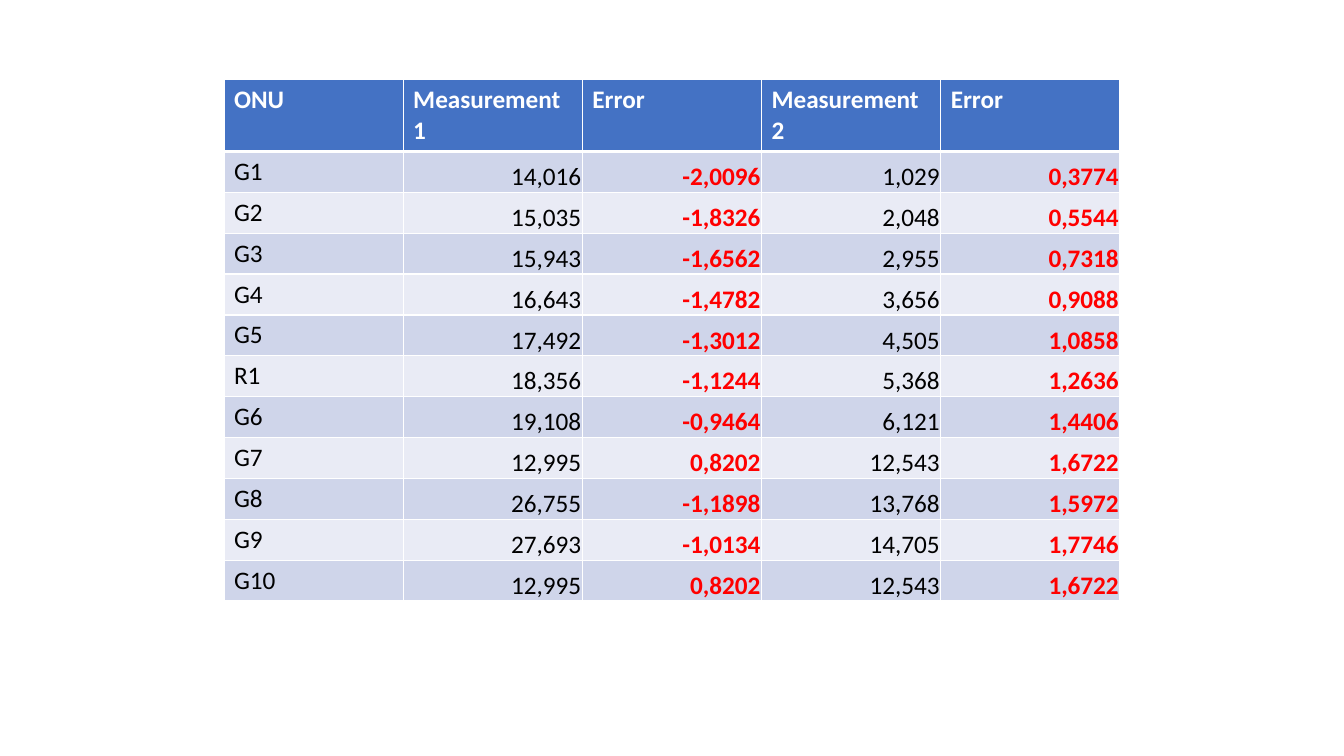
from dataclasses import dataclass

from lxml.etree import SubElement
from pptx import Presentation
from pptx.dml.color import RGBColor
from pptx.enum.text import MSO_ANCHOR, PP_ALIGN
from pptx.oxml.ns import qn
from pptx.table import _Cell
from pptx.util import Pt

COLORS = {
    "header": "4472C4",
    "odd_row": "CFD5EA",
    "even_row": "E9EBF5",
    "white": "FFFFFF",
    "black": "000000",
    "error": "FF0000",
}
HEADERS = ("ONU", "Measurement 1", "Error", "Measurement 2", "Error")
LEFT, TOP = 160, 57
COL_WIDTH, ROW_HEIGHT = 128, 29.2
THIN, THICK = 1, 3


@dataclass(frozen=True)
class Reading:
    onu: str
    measurement_1: str
    error_1: str
    measurement_2: str
    error_2: str

    def values(self) -> tuple[str, ...]:
        return (self.measurement_1, self.error_1, self.measurement_2, self.error_2)


READINGS = (
    Reading("G1", "14,016", "-2,0096", "1,029", "0,3774"),
    Reading("G2", "15,035", "-1,8326", "2,048", "0,5544"),
    Reading("G3", "15,943", "-1,6562", "2,955", "0,7318"),
    Reading("G4", "16,643", "-1,4782", "3,656", "0,9088"),
    Reading("G5", "17,492", "-1,3012", "4,505", "1,0858"),
    Reading("R1", "18,356", "-1,1244", "5,368", "1,2636"),
    Reading("G6", "19,108", "-0,9464", "6,121", "1,4406"),
    Reading("G7", "12,995", "0,8202", "12,543", "1,6722"),
    Reading("G8", "26,755", "-1,1898", "13,768", "1,5972"),
    Reading("G9", "27,693", "-1,0134", "14,705", "1,7746"),
    Reading("G10", "12,995", "0,8202", "12,543", "1,6722"),
)


def write_text(cell: _Cell, text: str, *, color: str = "black", bold: bool = False,
               align: PP_ALIGN = PP_ALIGN.LEFT) -> None:
    p = cell.text_frame.paragraphs[0]
    p.alignment = align
    r = p.add_run()
    r.text = text
    r.font.name = "Calibri"
    r.font.size = Pt(18)
    r.font.bold = bold
    r.font.color.rgb = RGBColor.from_string(COLORS[color])


def style_cell(cell: _Cell, fill: str, top: float = THIN, bottom: float = THIN) -> None:
    """Give the cell white borders and a solid fill, in the order the schema wants."""
    tc_pr = cell._tc.get_or_add_tcPr()
    for side, width in (("L", THIN), ("R", THIN), ("T", top), ("B", bottom)):
        ln = SubElement(tc_pr, qn(f"a:ln{side}"), w=str(int(Pt(width))))
        solid = SubElement(ln, qn("a:solidFill"))
        SubElement(solid, qn("a:srgbClr"), val=COLORS["white"])
    cell.fill.solid()
    cell.fill.fore_color.rgb = RGBColor.from_string(COLORS[fill])


def set_number_layout(cell: _Cell) -> None:
    cell.vertical_anchor = MSO_ANCHOR.BOTTOM
    cell.margin_left = cell.margin_right = cell.margin_top = Pt(0.75)
    cell.margin_bottom = Pt(0)


def main() -> None:
    prs = Presentation()
    prs.slide_width, prs.slide_height = Pt(960), Pt(540)
    s = prs.slides.add_slide(prs.slide_layouts[6])

    n_rows, n_cols = len(READINGS) + 1, len(HEADERS)
    table = s.shapes.add_table(n_rows, n_cols, Pt(LEFT), Pt(TOP),
                               Pt(COL_WIDTH * n_cols), Pt(ROW_HEIGHT * n_rows)).table
    for column in table.columns:
        column.width = Pt(COL_WIDTH)
    for row in table.rows:
        row.height = Pt(ROW_HEIGHT)

    for col, header in enumerate(HEADERS):
        cell = table.cell(0, col)
        style_cell(cell, "header", bottom=THICK)
        write_text(cell, header, color="white", bold=True)

    for row, reading in enumerate(READINGS, start=1):
        for col in range(n_cols):
            style_cell(table.cell(row, col), "odd_row" if row % 2 else "even_row",
                       top=THICK if row == 1 else THIN)
        write_text(table.cell(row, 0), reading.onu)
        for col, value in enumerate(reading.values(), start=1):
            cell = table.cell(row, col)
            is_error = HEADERS[col] == "Error"
            set_number_layout(cell)
            write_text(cell, value, color="error" if is_error else "black",
                       bold=is_error, align=PP_ALIGN.RIGHT)

    prs.save("out.pptx")


if __name__ == "__main__":
    main()
